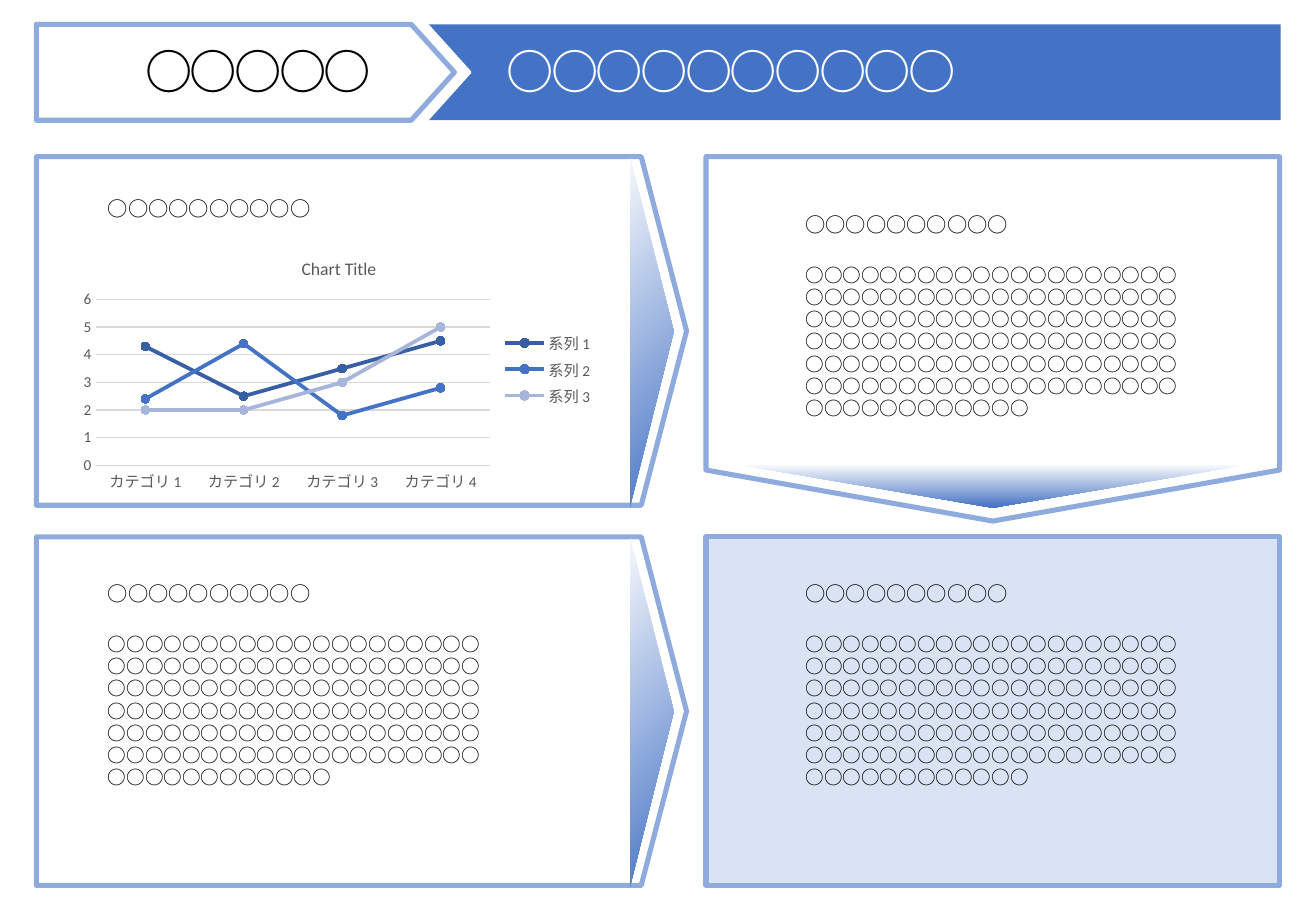
"""Build a one-page flow of four panels under a banner, with a line chart in the first panel."""
from dataclasses import dataclass

from lxml.etree import SubElement
from pptx import Presentation
from pptx.chart.data import CategoryChartData
from pptx.dml.color import RGBColor
from pptx.enum.chart import XL_CHART_TYPE, XL_LEGEND_POSITION, XL_MARKER_STYLE, XL_TICK_MARK
from pptx.enum.shapes import MSO_SHAPE
from pptx.enum.text import MSO_AUTO_SIZE, PP_ALIGN
from pptx.oxml.ns import qn
from pptx.util import Emu, Pt


@dataclass(frozen=True)
class Theme:
    blue: RGBColor = RGBColor.from_string("4472C4")
    border: RGBColor = RGBColor.from_string("8FAADC")
    pale: RGBColor = RGBColor.from_string("DAE3F3")
    mist: RGBColor = RGBColor.from_string("F6F8FC")
    white: RGBColor = RGBColor.from_string("FFFFFF")
    black: RGBColor = RGBColor.from_string("000000")
    grey: RGBColor = RGBColor.from_string("595959")
    grid: RGBColor = RGBColor.from_string("D9D9D9")
    navy: RGBColor = RGBColor.from_string("385FA3")
    lilac: RGBColor = RGBColor.from_string("A8B5DB")
    text_font: str = "Noto Sans CJK JP"
    chart_font: str = "Calibri"
    banner_size: float = 28
    heading_size: float = 12
    body_size: float = 11
    chart_title_size: float = 10.5
    chart_size: float = 9


theme = Theme()
PX = 9144


def add_panel(kind, frame, fill=None, line=None, weight=3, point=None, turn=0):
    panel = page.shapes.add_shape(kind, *(Emu(n * PX) for n in frame))
    panel.shadow.inherit = False
    panel.rotation = turn
    if point is not None:
        panel.adjustments[0] = point
    if fill is None:
        panel.fill.background()
    else:
        panel.fill.solid()
        panel.fill.fore_color.rgb = fill
    if line is None:
        panel.line.fill.background()
    else:
        panel.line.color.rgb = line
        panel.line.width = Pt(weight)
    return panel


def add_text(frame, text, size, color=theme.black, align=PP_ALIGN.LEFT, banner=False):
    box = page.shapes.add_textbox(*(Emu(n * PX) for n in frame))
    box.text_frame.word_wrap = True
    box.text_frame.auto_size = MSO_AUTO_SIZE.SHAPE_TO_FIT_TEXT
    para = box.text_frame.paragraphs[0]
    para.text = text
    para.alignment = align
    para.line_spacing = Pt(size * 1.2)
    para.font.size = Pt(size)
    para.font.name = theme.text_font
    para.font.color.rgb = color
    properties = para._p.get_or_add_pPr().get_or_add_defRPr()
    SubElement(properties, qn("a:ea"), typeface=theme.text_font)
    if banner:
        para.font.bold = True
        properties.set("spc", "-150")


deck = Presentation()
deck.slide_width, deck.slide_height = Emu(1083 * PX), Emu(750 * PX)
page = deck.slides.add_slide(deck.slide_layouts[6])

arrow = MSO_SHAPE.PENTAGON
add_panel(MSO_SHAPE.RECTANGLE, (581, 442, 472, 287), theme.pale, theme.border)
add_panel(MSO_SHAPE.RECTANGLE, (30, 20, 1024, 79), theme.blue)
add_panel(arrow, (16, 20, 371, 79), theme.white, theme.white, 1.5, point=0.45)
add_panel(arrow, (30, 20, 344, 79), line=theme.border, point=0.45)
add_panel(arrow, (667, 43, 300, 472), theme.white, theme.border, point=0.14, turn=90)
for top in (442, 129):
    add_panel(arrow, (30, top, 535, 287), theme.white, theme.border, point=0.13)

add_text((407, 30, 428, 57), "○" * 10, theme.banner_size, theme.white, banner=True)
add_text((63, 30, 252, 57), "○" * 5, theme.banner_size, align=PP_ALIGN.RIGHT, banner=True)

for frame, turn, angle in (
    ((393, 255, 287, 36), 90, 45),
    ((393, 568, 287, 36), 90, 45),
    ((610, 383, 414, 35), 180, 90),
):
    tip = add_panel(MSO_SHAPE.ISOSCELES_TRIANGLE, frame, turn=turn)
    tip.fill.gradient()
    tip.fill.gradient_angle = angle
    for stop, color in zip(tip.fill.gradient_stops, (theme.mist, theme.blue)):
        stop.color.rgb = color

for left, top, align, has_body in (
    (79, 157, PP_ALIGN.JUSTIFY, False),
    (79, 474, PP_ALIGN.JUSTIFY, True),
    (653, 170, PP_ALIGN.LEFT, True),
    (653, 474, PP_ALIGN.LEFT, True),
):
    add_text((left, top, 328, 30), "○" * 10, theme.heading_size, align=align)
    if has_body:
        add_text((left, top + 42, 328, 140), "○" * 132, theme.body_size, align=PP_ALIGN.JUSTIFY)

data = CategoryChartData()
data.categories = [f"カテゴリ {n}" for n in range(1, 5)]
data.add_series("系列 1", (4.3, 2.5, 3.5, 4.5))
data.add_series("系列 2", (2.4, 4.4, 1.8, 2.8))
data.add_series("系列 3", (2, 2, 3, 5))
chart_frame = (Emu(n * PX) for n in (60, 199, 438, 210))
chart = page.shapes.add_chart(XL_CHART_TYPE.LINE_MARKERS, *chart_frame, data).chart
chart.font.name = theme.chart_font
chart.font.size = Pt(theme.chart_size)
chart.font.color.rgb = theme.grey

chart.has_title = True
title = chart.chart_title.text_frame.paragraphs[0]
title.text = "Chart Title"
title.font.name = theme.chart_font
title.font.size = Pt(theme.chart_title_size)
title.font.bold = False
title.font.color.rgb = theme.grey

chart.has_legend = True
chart.legend.position = XL_LEGEND_POSITION.RIGHT
chart.legend.include_in_layout = False

for axis in (chart.category_axis, chart.value_axis):
    axis.major_tick_mark = axis.minor_tick_mark = XL_TICK_MARK.NONE
chart.category_axis.format.line.color.rgb = theme.grid
chart.category_axis.format.line.width = Pt(0.75)
scale = chart.value_axis
scale.minimum_scale, scale.maximum_scale, scale.major_unit = 0, 6, 1
scale.format.line.fill.background()
scale.major_gridlines.format.line.color.rgb = theme.grid
scale.major_gridlines.format.line.width = Pt(0.75)

chart.plots[0].vary_by_categories = False
for series, color in zip(chart.plots[0].series, (theme.navy, theme.blue, theme.lilac)):
    series.smooth = False
    series.format.line.color.rgb = color
    series.format.line.width = Pt(2.25)
    series.marker.style = XL_MARKER_STYLE.CIRCLE
    series.marker.size = 5
    series.marker.format.fill.solid()
    series.marker.format.fill.fore_color.rgb = color
    series.marker.format.line.color.rgb = color

deck.save("out.pptx")
